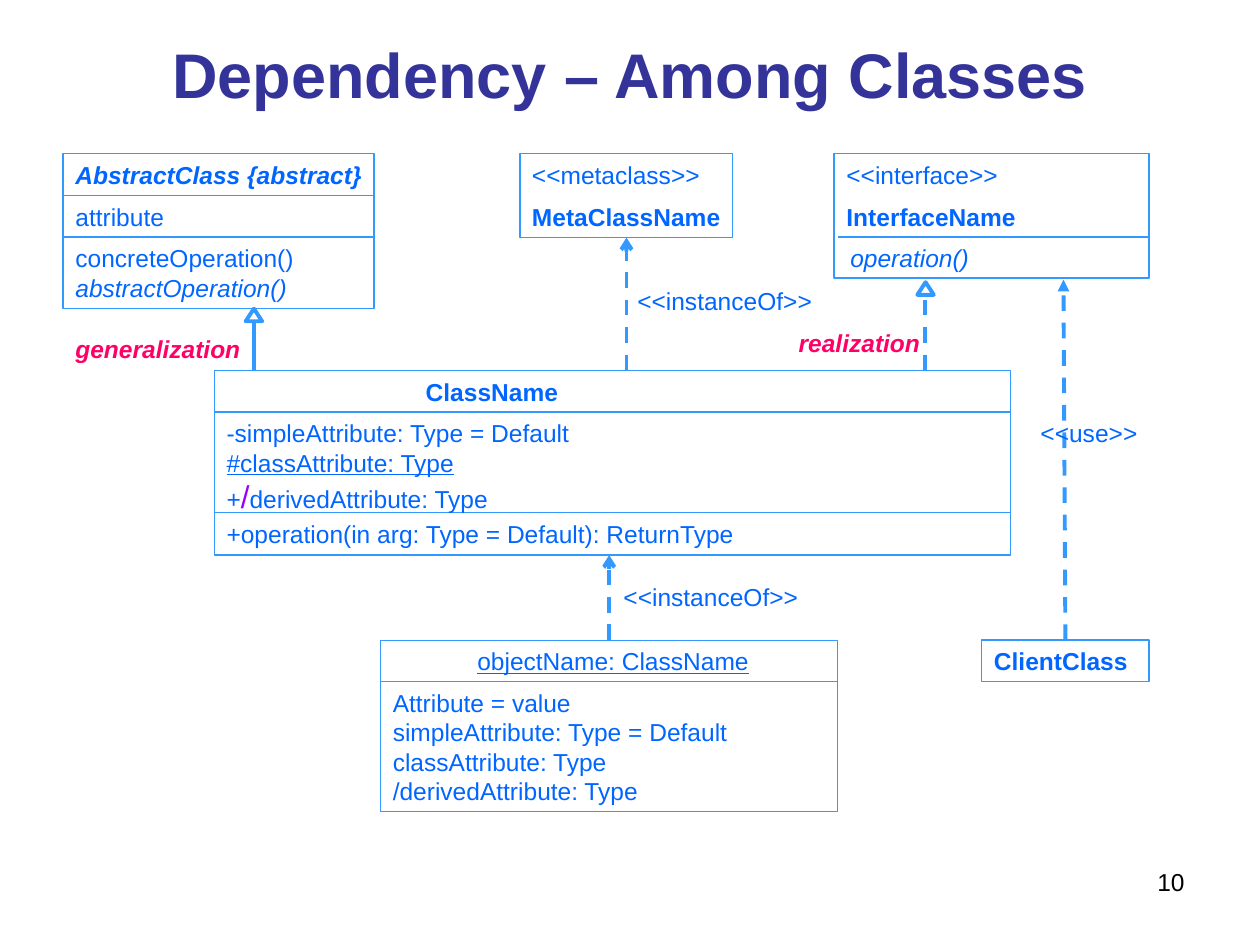
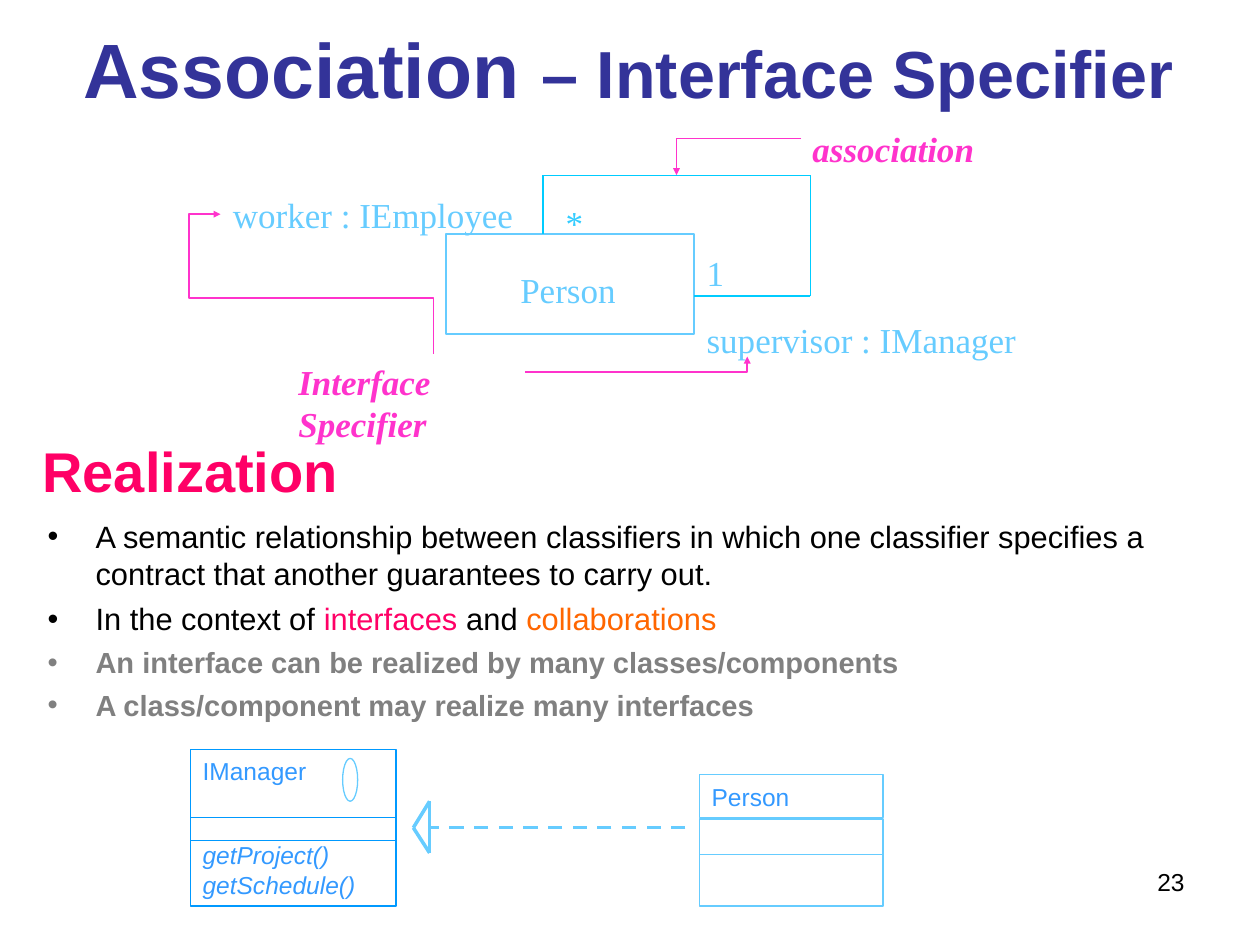
"""Build two UML slides on dependency, association and realization."""
from dataclasses import dataclass
from typing import NamedTuple

from lxml import etree
from pptx import Presentation
from pptx.dml.color import RGBColor
from pptx.enum.dml import MSO_LINE
from pptx.enum.shapes import MSO_CONNECTOR, MSO_SHAPE
from pptx.enum.text import MSO_ANCHOR, MSO_AUTO_SIZE, PP_ALIGN
from pptx.oxml.ns import qn
from pptx.util import Pt

NAVY = RGBColor(0x33, 0x33, 0x99)
BLUE = RGBColor(0x00, 0x66, 0xFF)
EDGE = RGBColor(0x33, 0x99, 0xFF)
SKY = RGBColor(0x66, 0xCC, 0xFF)
CYAN = RGBColor(0x00, 0xCC, 0xFF)
AQUA = RGBColor(0x33, 0xCC, 0xFF)
AZURE = RGBColor(0x00, 0x99, 0xFF)
ROSE = RGBColor(0xFF, 0x00, 0x66)
PINK = RGBColor(0xFF, 0x33, 0xCC)
PURPLE = RGBColor(0x99, 0x00, 0xFF)
ORANGE = RGBColor(0xFF, 0x66, 0x00)
GRAY = RGBColor(0x80, 0x80, 0x80)
BLACK = RGBColor(0, 0, 0)

RECT = MSO_SHAPE.RECTANGLE
OVAL = MSO_SHAPE.OVAL
PEAK = MSO_SHAPE.ISOSCELES_TRIANGLE
DIRECT = MSO_CONNECTOR.STRAIGHT
ELBOW = MSO_CONNECTOR.ELBOW
DASH = MSO_LINE.DASH
LEFT, MID, RIGHT = PP_ALIGN.LEFT, PP_ALIGN.CENTER, PP_ALIGN.RIGHT
MIDDLE = MSO_ANCHOR.MIDDLE
NO_FIT, GROW = MSO_AUTO_SIZE.NONE, MSO_AUTO_SIZE.SHAPE_TO_FIT_TEXT
TOP, BOTTOM = 0, 2
SERIF = "Times New Roman"
BULLET_GAP = 27.36
SLACK = 4


class Span(NamedTuple):
    text: str
    color: RGBColor = BLUE
    size: float = 14
    bold: bool = False
    italic: bool = False
    under: bool = False
    font: str = "Arial"


@dataclass
class Label:
    left: float
    top: float
    width: float
    paras: list


@dataclass
class Box:
    left: float
    top: float
    width: float
    height: float
    color: RGBColor = EDGE
    weight: float = 0.75
    kind: int = RECT
    rules: tuple = ()


@dataclass
class Line:
    start: tuple
    end: tuple
    color: RGBColor = EDGE
    weight: float = 0.75
    dashed: bool = False
    tail: str = ""
    size: str = "med"


@dataclass
class Bend:
    start: tuple
    end: tuple
    preset: str = "bentConnector2"
    turn: int = 0
    adjust: tuple = ()


def write(frame, paras: list, align=LEFT) -> None:
    """Fill a text frame with paragraphs, each a list of spans."""
    for index, spans in enumerate(paras):
        para = frame.add_paragraph() if index else frame.paragraphs[0]
        para.alignment = align
        for span in spans:
            run = para.add_run()
            run.text = span.text
            font = run.font
            font.name, font.size = span.font, Pt(span.size)
            font.bold, font.italic = span.bold, span.italic
            font.underline = span.under
            font.color.rgb = span.color


def add_text(slide, area: tuple, paras: list, align=LEFT, fit=NO_FIT):
    """Add a text box and return its frame."""
    frame = slide.shapes.add_textbox(*map(Pt, area)).text_frame
    frame.word_wrap = True
    frame.auto_size = fit
    write(frame, paras, align)
    return frame


def add_label(slide, label: Label) -> None:
    """Add a text box as tall as its lines, slightly wider than its text."""
    height = 7.2 + sum(1.2 * spans[0].size for spans in label.paras)
    area = (label.left, label.top, label.width + SLACK, height)
    add_text(slide, area, label.paras, fit=GROW)


def add_line(slide, line: Line, kind=DIRECT):
    """Add a connector with its dash and arrowhead."""
    link = slide.shapes.add_connector(kind, *map(Pt, line.start + line.end))
    link.line.color.rgb = line.color
    link.line.width = Pt(line.weight)
    if line.dashed:
        link.line.dash_style = DASH
    if line.tail:
        edge = link.line._get_or_add_ln()
        etree.SubElement(edge, qn("a:tailEnd"), type=line.tail, w=line.size, len=line.size)
    etree.SubElement(link._element.spPr, qn("a:effectLst"))
    return link


def add_bend(slide, bend: Bend) -> None:
    """Add a pink elbow arrow with its preset bends."""
    line = Line(bend.start, bend.end, PINK, 1, tail="triangle", size="sm")
    props = add_line(slide, line, ELBOW)._element.spPr
    geom = props.find(qn("a:prstGeom"))
    geom.set("prst", bend.preset)
    if bend.turn:
        props.find(qn("a:xfrm")).set("rot", str(bend.turn * 60000))
    for index, value in enumerate(bend.adjust, 1):
        guide = etree.SubElement(geom.find(qn("a:avLst")), qn("a:gd"))
        guide.set("name", f"adj{index}")
        guide.set("fmla", f"val {value}")


def add_box(slide, box: Box):
    """Add an unfilled shape with its inner rules."""
    area = map(Pt, (box.left, box.top, box.width, box.height))
    shape = slide.shapes.add_shape(box.kind, *area)
    shape.shadow.inherit = False
    shape.fill.background()
    shape.line.color.rgb = box.color
    shape.line.width = Pt(box.weight)
    for y in box.rules:
        add_line(slide, Line((box.left, y), (box.left + box.width, y), box.color))
    return shape


def add_slide(deck, spans: list, area: tuple, number: str):
    """Add a slide with its title and number."""
    slide = deck.slides.add_slide(deck.slide_layouts[5])
    title = slide.shapes.title
    title.left, title.top, title.width, title.height = map(Pt, area)
    frame = title.text_frame
    frame.auto_size, frame.vertical_anchor = NO_FIT, MIDDLE
    write(frame, [spans], MID)
    add_text(slide, (516, 492, 168, 37.5), [[Span(number, BLACK)]], RIGHT)
    return slide


def add_points(slide, area: tuple, points: list) -> None:
    """Add a bulleted list."""
    frame = add_text(slide, area, points)
    for index, (para, spans) in enumerate(zip(frame.paragraphs, points)):
        props = para._p.get_or_add_pPr()
        props.set("marL", str(Pt(BULLET_GAP)))
        props.set("indent", str(-Pt(BULLET_GAP)))
        tint = etree.SubElement(props, qn("a:buClr"))
        etree.SubElement(tint, qn("a:srgbClr"), val=str(spans[0].color))
        etree.SubElement(props, qn("a:buFont"), typeface="Arial")
        etree.SubElement(props, qn("a:buChar"), char="•")
        if index:
            para.space_before = Pt(4.8 if spans[0].color == BLACK else 4.5)


def draw_classes(deck) -> None:
    """Draw the slide on dependency among classes."""
    head = [Span("Dependency – Among Classes", NAVY, 36, True)]
    slide = add_slide(deck, head, (36, 21.6, 648, 41), "10")
    add_box(slide, Box(36, 87.8, 177.8, 88.6, rules=(111.6, 135.4)))
    meta = add_box(slide, Box(297.2, 87.8, 121.6, 48))
    add_box(slide, Box(476.6, 87.8, 180, 71.2))
    add_box(slide, Box(122.4, 211.6, 455, 105.6, rules=(235.4, 293)))
    thing = add_box(slide, Box(217.4, 365.8, 261.4, 98, rules=(389.5,)))
    client = add_box(slide, Box(560.9, 365.8, 95.8, 23.8))
    for x, y in ((140.4, 176.4), (524.2, 161.3)):
        add_box(slide, Box(x, y, 9.4, 7.2, weight=2.25, kind=PEAK))

    add_line(slide, Line((478.8, 135.4), (656.6, 135.4)))
    add_line(slide, Line((145.4, 211.6), (145.4, 183.6), weight=2.25))
    add_line(slide, Line((528.8, 211.6), (528.8, 167.8), weight=2.25, dashed=True))
    use = Line((608.8, 365.8), (607.7, 159.8), EDGE, 2.25, True, "triangle")
    add_line(slide, use).begin_connect(client, TOP)
    made = Line((348.1, 365.8), (348.1, 317.2), EDGE, 2.25, True, "arrow")
    add_line(slide, made).begin_connect(thing, TOP)
    kind = Line((358, 211.6), (358, 135.8), EDGE, 2.25, True, "arrow")
    add_line(slide, kind).end_connect(meta, BOTTOM)

    derived = [Span("+"), Span("/", PURPLE, 18), Span("derivedAttribute: Type")]
    values = ["Attribute = value", "simpleAttribute: Type = Default",
              "classAttribute: Type", "/derivedAttribute: Type"]
    labels = [
        Label(36, 87.8, 177.8, [[Span("AbstractClass {abstract}", bold=True, italic=True)]]),
        Label(36, 111.6, 64.8, [[Span("attribute")]]),
        Label(36, 135.4, 139, [[Span("concreteOperation()")],
                               [Span("abstractOperation()", italic=True)]]),
        Label(296.9, 87.8, 110.2, [[Span("<<metaclass>>")]]),
        Label(296.9, 111.6, 121.7, [[Span("MetaClassName", bold=True)]]),
        Label(476.6, 87.8, 100.8, [[Span("<<interface>>")]]),
        Label(476.6, 111.6, 110.9, [[Span("InterfaceName", bold=True)]]),
        Label(478.8, 135.4, 82.1, [[Span("operation()", italic=True)]]),
        Label(236.2, 211.6, 90, [[Span("ClassName", bold=True)]]),
        Label(122.4, 235.4, 375, [[Span("-simpleAttribute: Type = Default")],
                                  [Span("#classAttribute: Type", under=True)], derived]),
        Label(122.4, 293, 356.4, [[Span("+operation(in arg: Type = Default): ReturnType")]]),
        Label(265.7, 365.8, 169.2, [[Span("objectName: ClassName", under=True)]]),
        Label(217.4, 389.5, 257.4, [[Span(text)] for text in values]),
        Label(560.9, 365.8, 90.7, [[Span("ClientClass", bold=True)]]),
        Label(587.5, 235.4, 69.8, [[Span("<<use>>")]]),
        Label(349.2, 329, 114.5, [[Span("<<instanceOf>>")]]),
        Label(357.1, 159.8, 114.5, [[Span("<<instanceOf>>")]]),
        Label(449.3, 183.6, 83.5, [[Span("realization", ROSE, bold=True, italic=True)]]),
        Label(36, 187.2, 108.7, [[Span("generalization", ROSE, bold=True, italic=True)]]),
    ]
    for label in labels:
        add_label(slide, label)


def draw_roles(deck) -> None:
    """Draw the slide on interface specifiers and realization."""
    head = [Span("Association ", NAVY, 44, True),
            Span("– Interface Specifier", NAVY, 38, True)]
    slide = add_slide(deck, head, (35.3, 0, 648, 77), "23")
    add_box(slide, Box(254.9, 133.9, 141.8, 56.9, SKY, 1))
    roles = [
        (126, 107.3, 176, "worker : IEmployee", SKY),
        (396.7, 178.6, 193, "supervisor : IManager", SKY),
        (316.1, 111.6, 24.5, "*", AQUA),
        (396.7, 140.4, 24.5, "1", SKY),
        (290.2, 149.8, 69.1, "Person", SKY),
        (163.4, 202.3, 118, "Interface Specifier", PINK),
        (457.2, 69.1, 111.6, "association", PINK),
    ]
    for left, top, width, text, color in roles:
        note = color == PINK
        span = Span(text, color, 20, note, note, font=SERIF)
        add_label(slide, Label(left, top, width, [[span]]))
    for bend in (
        Bend((146.9, 223.2), (226.8, 101.5), "bentConnector4", 270, (40200, 114800)),
        Bend((300.2, 212.4), (427, 203.8)),
        Bend((457.9, 79.2), (386.6, 100.1)),
    ):
        add_bend(slide, bend)
    loop = [(396.7, 169.2), (463, 169.2), (463, 100.1), (310.3, 100.1), (310.3, 133.9)]
    for start, end in zip(loop, loop[1:]):
        add_line(slide, Line(start, end, CYAN))

    frame = add_text(slide, (13, 244.8, 191.5, 47.5),
                     [[Span("Realization", ROSE, 32, True)]], MID)
    frame.vertical_anchor = MIDDLE
    add_points(slide, (20.2, 292.3, 684, 125.3), [
        [Span("A semantic relationship between classifiers in which one classifier "
              "specifies a contract that another guarantees to carry out.", BLACK, 17.6)],
        [Span("In the context of ", BLACK, 17.6), Span("interfaces", ROSE, 17.6),
         Span(" and ", BLACK, 17.6), Span("collaborations", ORANGE, 17.6)],
        [Span("An interface can be realized by many classes/components", GRAY, 16.6, True)],
        [Span("A class/component may realize many interfaces", GRAY, 16.6, True)],
    ])

    add_box(slide, Box(108.7, 428.4, 117.7, 89.3, AZURE, rules=(467.3, 480.2)))
    add_box(slide, Box(195.8, 433.4, 8.6, 24.5, SKY, kind=OVAL))
    add_label(slide, Label(108.7, 428.4, 113.4, [[Span("IManager", EDGE)]]))
    calls = [[Span(text, EDGE, italic=True)] for text in ("getProject()", "getSchedule()")]
    add_label(slide, Label(108.7, 476.6, 113.4, calls))
    rows = [add_box(slide, Box(399.6, top, 105.1, height, SKY))
            for top, height in ((442.8, 24.5), (468, 20.2), (488.2, 29.5))]
    rows[0].text_frame.word_wrap = True
    write(rows[0].text_frame, [[Span("Person", EDGE)]])

    tip, high, low = (236.2, 473), (245.5, 457.9), (245.5, 487.4)
    add_line(slide, Line((391.7, 473), (245.5, 473), SKY, 2, True))
    for start, end in ((low, high), (high, tip), (low, tip)):
        add_line(slide, Line(start, end, SKY, 2))


def main() -> None:
    """Build and save the deck."""
    deck = Presentation()
    deck.slide_width, deck.slide_height = Pt(720), Pt(540)
    draw_classes(deck)
    draw_roles(deck)
    deck.save("out.pptx")


if __name__ == "__main__":
    main()
